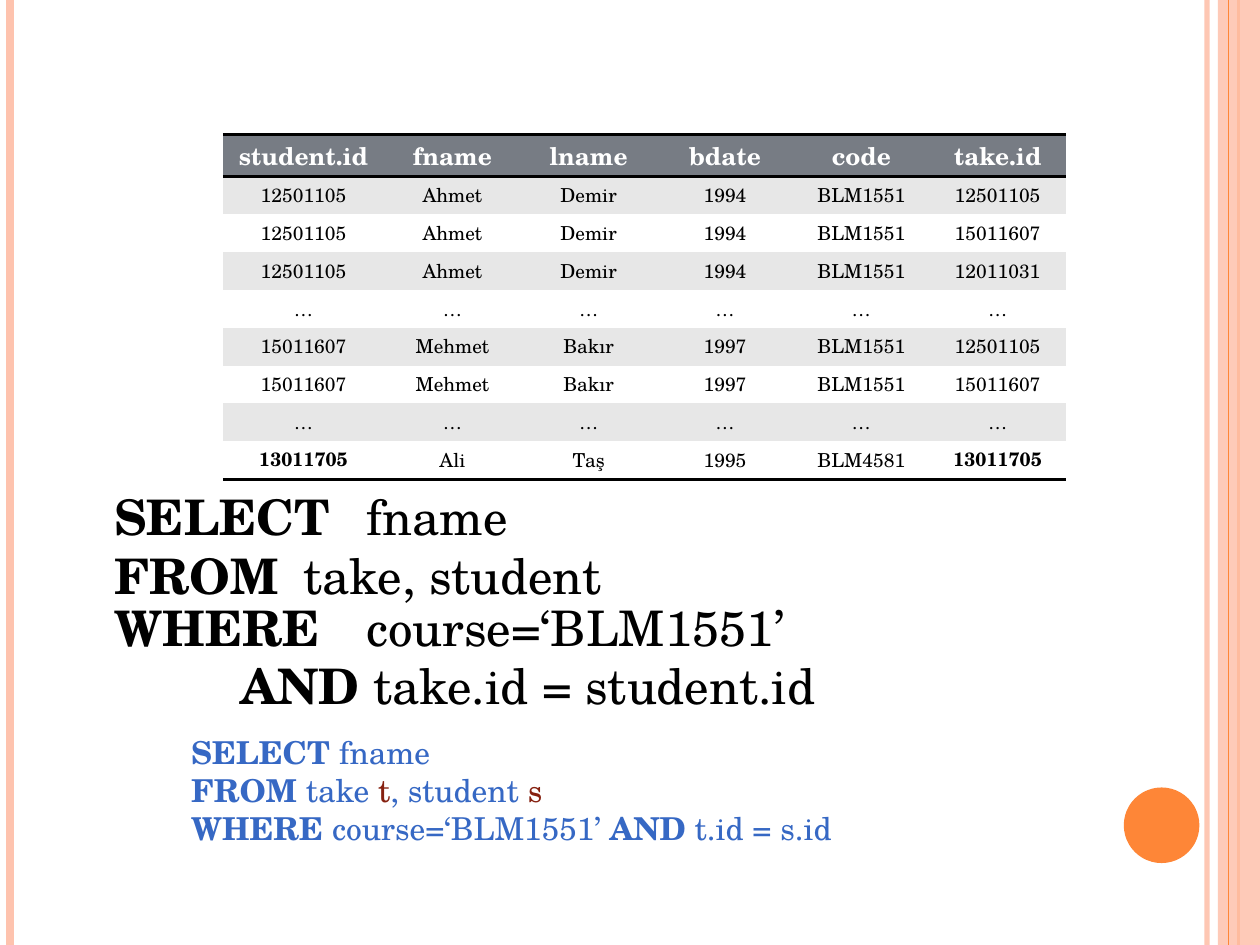
from lxml import etree
from pptx import Presentation, util as u
from pptx.dml.color import RGBColor
from pptx.enum import shapes, text
from pptx.oxml.ns import qn

FONT = "TeX Gyre Schola"
COLORS = {"black": "000000", "white": "FFFFFF", "header": "777C84", "band": "E7E7E7",
          "peach": "FEC3AE", "orange": "FE8637", "blue": "3668C4", "red": "862110"}
WIDTH, HEIGHT = 720, 540

HEADER = ["student.id", "fname", "lname", "bdate", "code", "take.id"]
AHMET = ["12501105", "Ahmet", "Demir", "1994", "BLM1551"]
MEHMET = ["15011607", "Mehmet", "Bakır", "1997", "BLM1551"]
GAP = ["…"] * len(HEADER)
MATCHED_ID = "13011705"
ROWS = [HEADER,
        AHMET + ["12501105"], AHMET + ["15011607"], AHMET + ["12011031"], GAP,
        MEHMET + ["12501105"], MEHMET + ["15011607"], GAP,
        [MATCHED_ID, "Ali", "Taş", "1995", "BLM4581", MATCHED_ID]]


def rgb(name):
    return RGBColor.from_string(COLORS[name])


def set_alpha(fill_parent, percent):
    color = fill_parent.find(".//" + qn("a:srgbClr"))
    etree.SubElement(color, qn("a:alpha")).set("val", str(percent * 1000))


def style_font(font, size, color, bold):
    font.name, font.size, font.bold = FONT, u.Pt(size), bold
    font.color.rgb = rgb(color)


def add_rule(slide, x, color, width, alpha=100):
    """Full-height vertical line."""
    rule = slide.shapes.add_connector(
        shapes.MSO_CONNECTOR.STRAIGHT, u.Pt(x), 0, u.Pt(x), u.Pt(HEIGHT))
    rule.line.color.rgb = rgb(color)
    rule.line.width = u.Pt(width)
    properties = rule._element.spPr
    if alpha < 100:
        set_alpha(properties, alpha)
    etree.SubElement(properties, qn("a:effectLst"))


def add_filled(slide, kind, box, color, alpha=100):
    shape = slide.shapes.add_shape(kind, *(u.Pt(value) for value in box))
    shape.shadow.inherit = False
    shape.fill.solid()
    shape.fill.fore_color.rgb = rgb(color)
    shape.line.fill.background()
    if alpha < 100:
        set_alpha(shape._element.spPr, alpha)


def add_query(slide, box, size, color, lines):
    """Each line is a list of (text, bold[, colour]) pieces."""
    frame = slide.shapes.add_textbox(*(u.Pt(value) for value in box)).text_frame
    frame.word_wrap = True
    frame.auto_size = text.MSO_AUTO_SIZE.SHAPE_TO_FIT_TEXT
    for index, line in enumerate(lines):
        paragraph = frame.add_paragraph() if index else frame.paragraphs[0]
        for words, bold, *other in line:
            run = paragraph.add_run()
            run.text = words
            style_font(run.font, size, other[0] if other else color, bold)


def set_borders(cell, sides):
    """Thick black lines on the named sides, none on the others."""
    properties = cell._tc.get_or_add_tcPr()
    for index, side in enumerate("LRTB"):
        border = etree.Element(qn("a:ln" + side))
        if side in sides:
            border.set("w", str(u.Pt(2)))
            fill = etree.SubElement(border, qn("a:solidFill"))
            etree.SubElement(fill, qn("a:srgbClr")).set("val", COLORS["black"])
        else:
            etree.SubElement(border, qn("a:noFill"))
        properties.insert(index, border)


def fill_cell(cell, words, row):
    is_header = row == 0
    cell.text = words
    cell.vertical_anchor = text.MSO_ANCHOR.BOTTOM
    cell.margin_top = 0
    cell.margin_bottom = u.Pt(1 if is_header else 3)
    paragraph = cell.text_frame.paragraphs[0]
    paragraph.alignment = text.PP_ALIGN.CENTER
    style_font(paragraph.font, 14 if is_header else 11, "white" if is_header else "black",
               is_header or words == MATCHED_ID)
    cell.fill.solid()
    cell.fill.fore_color.rgb = rgb("header" if is_header else "band" if row % 2 else "white")
    set_borders(cell, {0: "TB", 1: "T", len(ROWS) - 1: "B"}.get(row, ""))


def add_join_table(slide):
    widths = [92.2] + [77.9] * 5
    heights = [24] + [21.6] * (len(ROWS) - 1)
    table = slide.shapes.add_table(
        len(ROWS), len(HEADER), u.Pt(127.4), u.Pt(77),
        u.Pt(sum(widths)), u.Pt(sum(heights))).table
    for column, width in zip(table.columns, widths):
        column.width = u.Pt(width)
    for row, height in zip(table.rows, heights):
        row.height = u.Pt(height)
    for row, values in enumerate(ROWS):
        for column, words in enumerate(values):
            fill_cell(table.cell(row, column), words, row)


def add_side_decor(slide):
    add_rule(slide, 689.8, "peach", 3, 93)
    add_rule(slide, 5.8, "peach", 4.5)
    add_rule(slide, 707.8, "orange", 1.5)
    add_filled(slide, shapes.MSO_SHAPE.RECTANGLE, (696, 0, WIDTH - 696, HEIGHT), "peach", 87)
    add_rule(slide, 702, "orange", 0.75)
    add_filled(slide, shapes.MSO_SHAPE.OVAL, (642.2, 450, 43.2, 43.2), "orange")


def main():
    presentation = Presentation()
    presentation.slide_width, presentation.slide_height = u.Pt(WIDTH), u.Pt(HEIGHT)
    slide = presentation.slides.add_slide(presentation.slide_layouts[6])

    add_side_decor(slide)

    # Main query, its first half, then the joined rows, then its conditions
    add_query(slide, (58.3, 274.3, 360, 75), 28, "black", [
        [("SELECT \t", True), ("fname", False)],
        [("FROM \t", True), ("take, student", False)]])
    add_join_table(slide)
    add_query(slide, (58.3, 337.7, 660, 75), 28, "black", [
        [("WHERE \t", True), ("course=‘BLM1551’", False)],
        [("\t\tAND ", True), ("take.id = student.id", False)]])

    # The same query with table aliases
    add_query(slide, (102.2, 415.4, 504.7, 72.7), 18, "blue", [
        [("SELECT ", True), ("fname", False)],
        [("FROM ", True), ("take ", False), ("t", False, "red"),
         (", student ", False), ("s", False, "red")],
        [("WHERE ", True), ("course=‘BLM1551’ ", False), ("AND", True),
         (" t.id = s.id", False)]])

    presentation.save("out.pptx")


if __name__ == "__main__":
    main()
